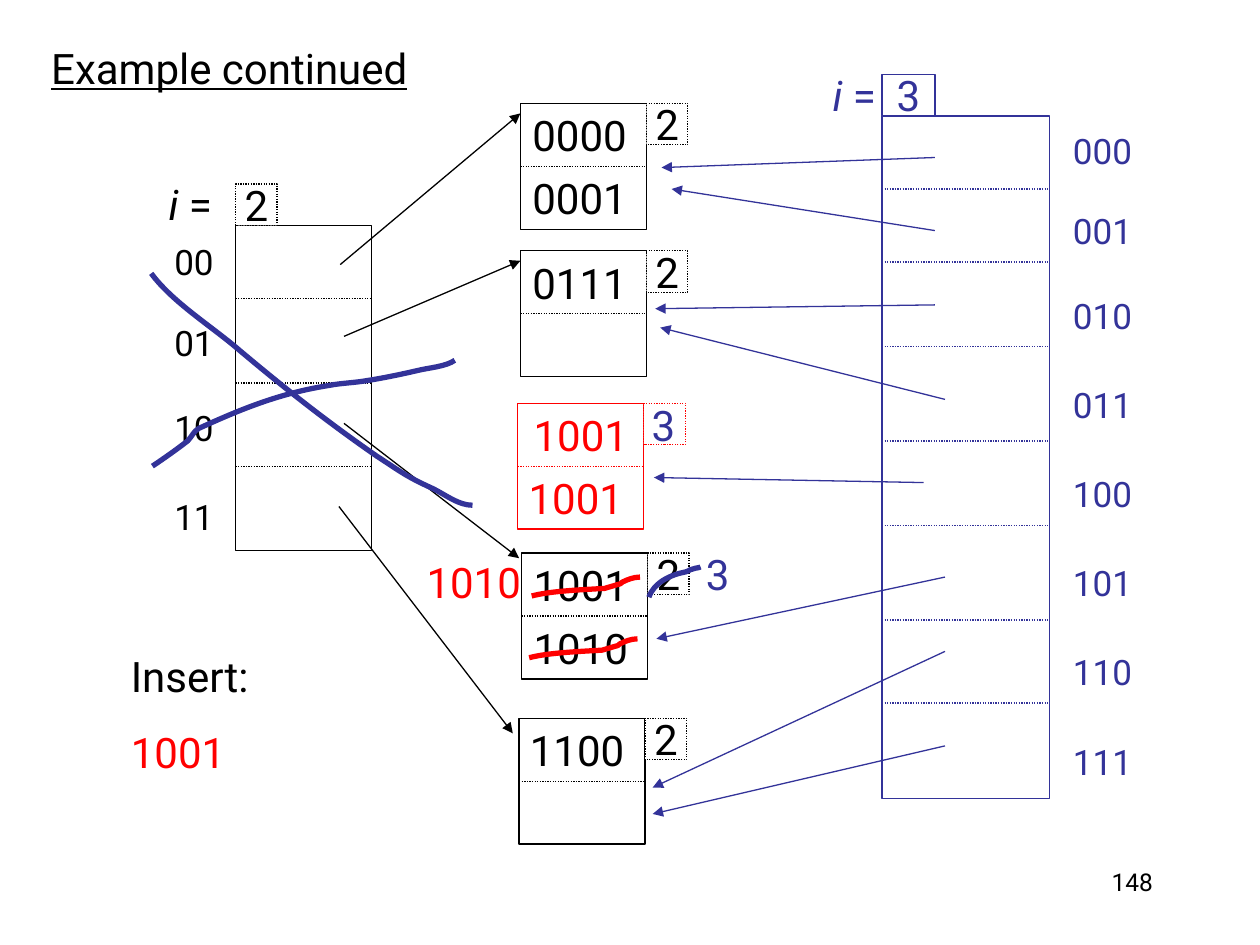
from lxml import etree
from pptx import Presentation
from pptx import util as u
from pptx.dml.color import RGBColor
from pptx.enum import dml, shapes, text
from pptx.oxml.ns import qn

BLACK, RED, BLUE, WHITE = "000000", "FF0000", "333399", "FFFFFF"
BUCKET, BADGE, ROW = 1, 0.33, 0.5
DOTTED = dml.MSO_LINE.ROUND_DOT
CENTER, LEFT, RIGHT = text.PP_ALIGN.CENTER, text.PP_ALIGN.LEFT, text.PP_ALIGN.RIGHT

# bucket: left, top, colour, badge, [(key, shift of the key's box)]
BUCKETS = [
    (4.14, 4.39, BLACK, "2", [("1001", -0.01), ("1010", -0.01)]),
    (4.12, 5.7, BLACK, "2", [("1100", -0.02)]),
    (4.13, 1.99, BLACK, "2", [("0111", -0.01)]),
    (4.13, 0.82, BLACK, "2", [("0000", -0.01), ("0001", -0.01)]),
]
SPLIT_BUCKET = (4.11, 3.2, RED, "", [("1001", 0.02), ("1001", -0.02)])

OLD_INDEX = dict(
    box=(1.87, 1.79, 1.08, 2.58), color=BLACK, depth="2", depth_width=0.33,
    depth_dash=DOTTED, dividers=[2.37, 3.04, 3.7],
    depth_label=(1.23, 1.37), labels_box=(1.28, 1.86, 0.52, 2.46),
    labels=["00", "01", "10", "11"])
NEW_INDEX = dict(
    box=(7, 0.92, 1.33, 5.42), color=BLUE, depth="3", depth_width=0.42,
    depth_dash=None, dividers=[1.5, 2.08, 2.75, 3.5, 4.17, 4.92, 5.58],
    depth_label=(6.5, 0.5), labels_box=(8.41, 0.97, 0.68, 5.29),
    labels=["000", "001", "010", "011", "100", "101", "110", "111"])
LABEL_SPACING = [1, 1.4, 1.5] + [1.6] * 5

OLD_POINTERS = [
    (2.7, 2.1, 4.13, 0.9), (2.73, 2.67, 4.13, 2.07),
    (2.73, 3.36, 4.12, 4.43), (2.69, 4.02, 4.07, 5.82)]
NEW_POINTERS = [
    (7.42, 1.25, 5.25, 1.33), (7.42, 1.83, 5.33, 1.5),
    (7.42, 2.42, 5.2, 2.45), (7.5, 3.17, 5.24, 2.6),
    (7.33, 3.83, 5.19, 3.79), (7.5, 4.58, 5.21, 5.07),
    (7.5, 5.17, 5.18, 6.25), (7.5, 5.92, 5.18, 6.46)]

# strokes: a start point, then three points for each Bezier segment
KEY_STRIKE = [
    (0, 0.15), (0.15, 0.11), (0.41, 0.1), (0.58, 0.09), (0.61, 0.08),
    (0.65, 0.07), (0.68, 0.06), (0.7, 0.06), (0.71, 0.05), (0.72, 0.04),
    (0.76, 0.02), (0.81, 0), (0.86, 0)]
KEY_STRIKE_AT = [(4.22, 4.58), (4.2, 5.07)]
CROSS_OUT = [
    [(1.21, 3.7), (1.3, 3.64), (1.4, 3.57), (1.49, 3.5), (1.52, 3.47),
     (1.54, 3.42), (1.58, 3.4), (1.93, 3.24), (2.23, 3.12), (2.61, 3.06),
     (2.71, 3.04), (2.81, 3.04), (2.92, 3.02), (3.05, 3), (3.19, 2.97),
     (3.32, 2.94), (3.4, 2.92), (3.54, 2.91), (3.61, 2.86)],
    [(1.2, 2.17), (1.37, 2.4), (1.68, 2.59), (1.9, 2.78), (2.27, 3.09),
     (2.6, 3.35), (2.99, 3.62), (3.19, 3.75), (3.22, 3.78), (3.44, 3.88),
     (3.54, 3.93), (3.64, 4.01), (3.75, 4.01)],
    [(5.15, 4.74), (5.19, 4.62), (5.33, 4.56), (5.44, 4.54), (5.52, 4.51),
     (5.42, 4.54), (5.52, 4.51), (5.54, 4.51), (5.56, 4.5), (5.56, 4.5)],
]

deck = Presentation()
deck.slide_width, deck.slide_height = u.Inches(10), u.Inches(7.5)
slide = deck.slides.add_slide(deck.slide_layouts[6])


def rgb(color):
    return RGBColor.from_string(color)


def inches(values):
    return [u.Inches(v) for v in values]


def style_line(line, color, width=0.75, dash=None):
    line.color.rgb = rgb(color)
    line.width = u.Pt(width)
    if dash:
        line.dash_style = dash


def style_run(run, color, size=24):
    run.font.name, run.font.size = "Roboto", u.Pt(size)
    run.font.color.rgb = rgb(color)


def write(shape, lines, color, size=24, align=CENTER, gap=0, spacings=None):
    """Fill a shape with one paragraph per line; gap is the space between them."""
    frame = shape.text_frame
    frame.text = "\n".join(lines)
    frame.word_wrap = False
    frame.vertical_anchor = text.MSO_ANCHOR.MIDDLE
    for number, paragraph in enumerate(frame.paragraphs):
        paragraph.alignment = align
        if number:
            paragraph.space_before = u.Pt(gap)
        if spacings:
            paragraph.line_spacing = spacings[number]
        for run in paragraph.runs:
            style_run(run, color, size)
    return frame


def label(box, lines, color=BLACK, **style):
    return write(slide.shapes.add_textbox(*inches(box)), lines, color, **style)


def rect(box, color, content="", dash=None):
    shape = slide.shapes.add_shape(shapes.MSO_SHAPE.RECTANGLE, *inches(box))
    shape.shadow.inherit = False
    shape.fill.solid()
    shape.fill.fore_color.rgb = rgb(WHITE)
    style_line(shape.line, color, dash=dash)
    if content:
        write(shape, [content], color)


def line(ends, color, dash=None, arrow=False):
    connector = slide.shapes.add_connector(shapes.MSO_CONNECTOR.STRAIGHT, *inches(ends))
    style_line(connector.line, color, dash=dash)
    if arrow:
        etree.SubElement(connector.line._get_or_add_ln(), qn("a:tailEnd"), type="triangle")
    etree.SubElement(connector._element.spPr, qn("a:effectLst"))


def stroke(points, color):
    """Draw an open freeform and turn its segments into Bezier curves."""
    points = [inches(point) for point in points]
    builder = slide.shapes.build_freeform(*points[0])
    builder.add_line_segments(points[3::3], close=False)
    curve = builder.convert_to_shape()
    segments = list(curve._element.iter(qn("a:lnTo")))
    for i, segment in enumerate(segments):
        segment.tag = qn("a:cubicBezTo")
        segment.clear()
        for x, y in points[3 * i + 1:3 * i + 4]:
            etree.SubElement(segment, qn("a:pt"), x=str(x - curve.left), y=str(y - curve.top))
    curve.shadow.inherit = False
    curve.fill.background()
    style_line(curve.line, color, width=3)


def bucket(left, top, color, badge, keys):
    rect((left, top, BUCKET, BUCKET), color)
    rect((left + BUCKET, top, BADGE, BADGE), color, badge, DOTTED)
    line((left, top + ROW, left + BUCKET, top + ROW), color, DOTTED)
    for row, (key, shift) in enumerate(keys):
        label((left + shift, top + row * ROW, 0.96, ROW), [key], color)


def index(box, color, depth, depth_width, depth_dash, dividers, depth_label,
          labels_box, labels):
    left, top, width, _ = box
    label(labels_box, labels, color, size=20, gap=12.5, spacings=LABEL_SPACING)
    rect(box, color)
    rect((left, top - BADGE, depth_width, BADGE), color, depth, depth_dash)
    for y in dividers:
        line((left, y, left + width, y), color, DOTTED)
    equation = label((*depth_label, 0.56, 0.5), ["i"], color).paragraphs[0]
    equation.runs[0].font.italic = True
    equals = equation.add_run()
    equals.text = " ="
    style_run(equals, color)


label((7.17, 6.83, 2.08, 0.5), ["148"], size=14,
      align=RIGHT).vertical_anchor = text.MSO_ANCHOR.TOP
index(**OLD_INDEX)
for parts in BUCKETS:
    bucket(*parts)
insert = label((0.94, 5.11, 1.21, 1.11), ["Insert:", "1001"], align=LEFT, gap=15)
insert.paragraphs[1].runs[0].font.color.rgb = rgb(RED)
title = label((0.22, 0.29, 3.2, 0.5), ["Example continued"])
title.paragraphs[0].runs[0].font.underline = True
for ends in OLD_POINTERS:
    line(ends, BLACK, arrow=True)

bucket(*SPLIT_BUCKET)
for x, y in KEY_STRIKE_AT:
    stroke([(x + dx, y + dy) for dx, dy in KEY_STRIKE], RED)
label((3.28, 4.37, 0.96, 0.5), ["1010"], RED)

index(**NEW_INDEX)
for ends in NEW_POINTERS:
    line(ends, BLUE, arrow=True)
for points in CROSS_OUT:
    stroke(points, BLUE)
for corner in [(5.07, 3.12), (5.5, 4.3)]:
    label((*corner, 0.39, 0.5), ["3"], BLUE)

deck.save("out.pptx")
